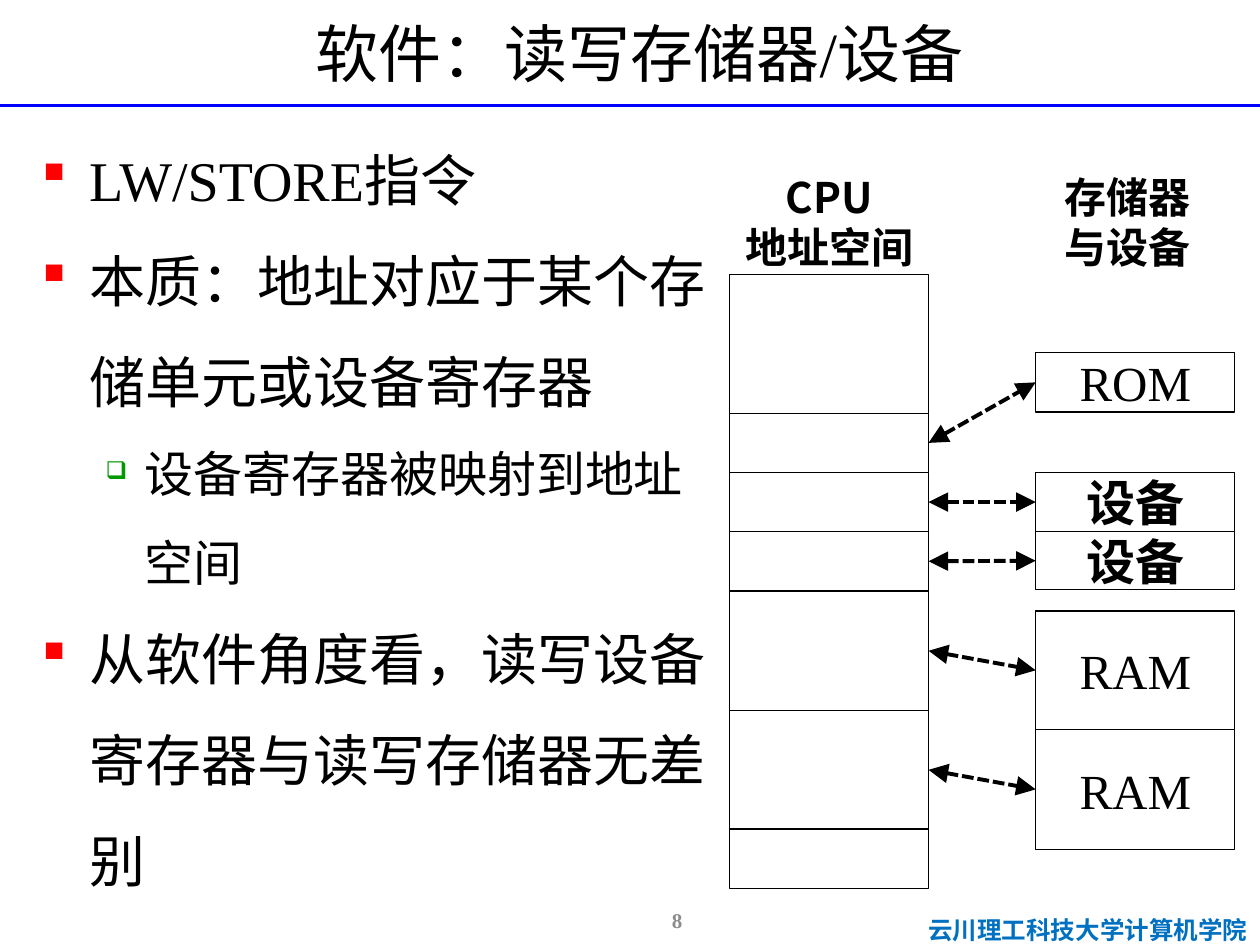
from pptx import Presentation
from pptx.dml.color import RGBColor
from pptx.enum import dml, shapes, text
from pptx.oxml.ns import qn
from pptx.util import Inches, Pt
from lxml import etree

BLACK = RGBColor(0, 0, 0)
WHITE = RGBColor(255, 255, 255)
BLUE = RGBColor(0, 0, 255)
GREY = RGBColor(0x8C, 0x8C, 0x8C)
FOOTER_BLUE = RGBColor(0, 0x70, 0xC0)
RED = RGBColor(255, 0, 0)
GREEN = RGBColor(0, 0x99, 0)
SERIF, SANS = "Times New Roman", "Noto Sans CJK SC"

# Content
TITLE = "软件：读写存储器/设备"
FOOTER = "云川理工科技大学计算机学院"
PAGE_NUMBER = "8"
BULLETS = [  # level, text
    (0, "LW/STORE指令"),
    (0, "本质：地址对应于某个存储单元或设备寄存器"),
    (1, "设备寄存器被映射到地址空间"),
    (0, "从软件角度看，读写设备寄存器与读写存储器无差别"),
]
LEVELS = [  # size, line pitch, left margin, hanging indent, Wingdings mark, colour, mark size
    (32, 57.6, 0.38, 0.38, "§", RED, 100),
    (28, 50.4, 0.82, 0.31, "q", GREEN, 50),
]
HEADINGS = [  # left, width, lines
    (5.8, 1.56, ["CPU", "地址空间"]),
    (8.34, 1.22, ["存储器", "与设备"]),
]
ADDRESS_HEIGHTS = [1.1, 0.47, 0.47, 0.47, 0.95, 0.94, 0.47]
DEVICES = [  # label, top, height, bold, mapped address row
    ("ROM", 2.8, 0.47, False, 1),
    ("设备", 3.75, 0.47, True, 2),
    ("设备", 4.22, 0.46, True, 3),
    ("RAM", 4.85, 0.94, False, 4),
    ("RAM", 5.79, 0.95, False, 5),
]
ADDRESS_LEFT, ADDRESS_TOP, DEVICE_LEFT, BOX_WIDTH = 5.79, 2.18, 8.22, 1.58

presentation = Presentation()
presentation.slide_width, presentation.slide_height = Inches(10), Inches(7.5)
slide = presentation.slides.add_slide(presentation.slide_layouts[6])


def write(paragraph, words, size, font=SERIF, color=BLACK, bold=False,
          align=text.PP_ALIGN.CENTER):
    paragraph.text = words
    paragraph.alignment = align
    paragraph.font.size = Pt(size)
    paragraph.font.bold = bold
    paragraph.font.color.rgb = color
    for run in paragraph.runs:
        run.font.name = font
        properties = run._r.get_or_add_rPr()
        properties.set("lang", "zh-CN")
        etree.SubElement(properties, qn("a:ea")).set("typeface", SANS)


def add_text_box(left, top, width, height, anchor=text.MSO_ANCHOR.TOP):
    frame = slide.shapes.add_textbox(
        Inches(left), Inches(top), Inches(width), Inches(height)).text_frame
    frame.word_wrap = True
    frame.vertical_anchor = anchor
    return frame


def add_paragraph(frame, index):
    return frame.add_paragraph() if index else frame.paragraphs[0]


def set_bullet(paragraph, left, hanging, mark, color, percent):
    properties = paragraph._p.get_or_add_pPr()
    properties.set("marL", str(Inches(left)))
    properties.set("indent", str(-Inches(hanging)))
    bullet_color = etree.Element(qn("a:buClr"))
    etree.SubElement(bullet_color, qn("a:srgbClr")).set("val", str(color))
    parts = [
        bullet_color,
        etree.Element(qn("a:buSzPct"), val=str(percent * 1000)),
        etree.Element(qn("a:buFont"), typeface="Wingdings", charset="2"),
        etree.Element(qn("a:buChar"), char=mark),
    ]
    # Bullet parts stand after the spacing and before the default run settings
    defaults = properties.find(qn("a:defRPr"))
    for part in parts:
        defaults.addprevious(part)


def add_box(left, top, height):
    box = slide.shapes.add_shape(
        shapes.MSO_SHAPE.RECTANGLE,
        Inches(left), Inches(top), Inches(BOX_WIDTH), Inches(height))
    box.shadow.inherit = False
    box.fill.solid()
    box.fill.fore_color.rgb = WHITE
    box.line.color.rgb = BLACK
    box.line.width = Pt(0.75)
    return box


def add_line(x1, y1, x2, y2, color, width):
    line = slide.shapes.add_connector(
        shapes.MSO_CONNECTOR.STRAIGHT,
        Inches(x1), Inches(y1), Inches(x2), Inches(y2))
    line.line.color.rgb = color
    line.line.width = Pt(width)
    etree.SubElement(line._element.spPr, qn("a:effectLst"))
    return line


# Footer, rule, title and page number
frame = add_text_box(7.01, 7.26, 2.99, 0.24)
frame.margin_top = frame.margin_bottom = 0
write(frame.paragraphs[0], FOOTER, 14, SANS, FOOTER_BLUE, True, text.PP_ALIGN.RIGHT)
frame.paragraphs[0].line_spacing = Pt(17)
add_line(10, 0.84, 0, 0.84, BLUE, 1.5)
frame = add_text_box(0.23, 0.05, 9.69, 0.73, text.MSO_ANCHOR.MIDDLE)
write(frame.paragraphs[0], TITLE, 36)
frame = add_text_box(4.21, 7.1, 2.33, 0.4, text.MSO_ANCHOR.MIDDLE)
write(frame.paragraphs[0], PAGE_NUMBER, 12, color=GREY, bold=True)

# Bulleted text
frame = add_text_box(0.23, 0.84, 5.5, 6.22)
for index, (level, words) in enumerate(BULLETS):
    size, pitch, *bullet = LEVELS[level]
    paragraph = add_paragraph(frame, index)
    write(paragraph, words, size, align=text.PP_ALIGN.LEFT)
    paragraph.level = level
    paragraph.line_spacing = Pt(pitch)
    set_bullet(paragraph, *bullet)

# Column headings
for left, width, lines in HEADINGS:
    frame = add_text_box(left, 1.31, width, 0.91)
    for index, words in enumerate(lines):
        paragraph = add_paragraph(frame, index)
        write(paragraph, words, 24, SANS, bold=True)
        paragraph.line_spacing = Pt(28.8)

# CPU address space
address_centers = []
top = ADDRESS_TOP
for height in ADDRESS_HEIGHTS:
    add_box(ADDRESS_LEFT, top, height)
    address_centers.append(top + height / 2)
    top += height

# Memory and devices, each mapped to an address row
for label, top, height, bold, row in DEVICES:
    frame = add_box(DEVICE_LEFT, top, height).text_frame
    frame.word_wrap = False
    frame.vertical_anchor = text.MSO_ANCHOR.MIDDLE
    write(frame.paragraphs[0], label, 28, bold=bold)
    arrow = add_line(ADDRESS_LEFT + BOX_WIDTH, address_centers[row],
                     DEVICE_LEFT, top + height / 2, BLACK, 2.25)
    arrow.line.dash_style = dml.MSO_LINE.SQUARE_DOT
    for end in ("a:headEnd", "a:tailEnd"):
        etree.SubElement(arrow.line._get_or_add_ln(), qn(end),
                         type="triangle", w="lg", len="lg")

presentation.save("out.pptx")
